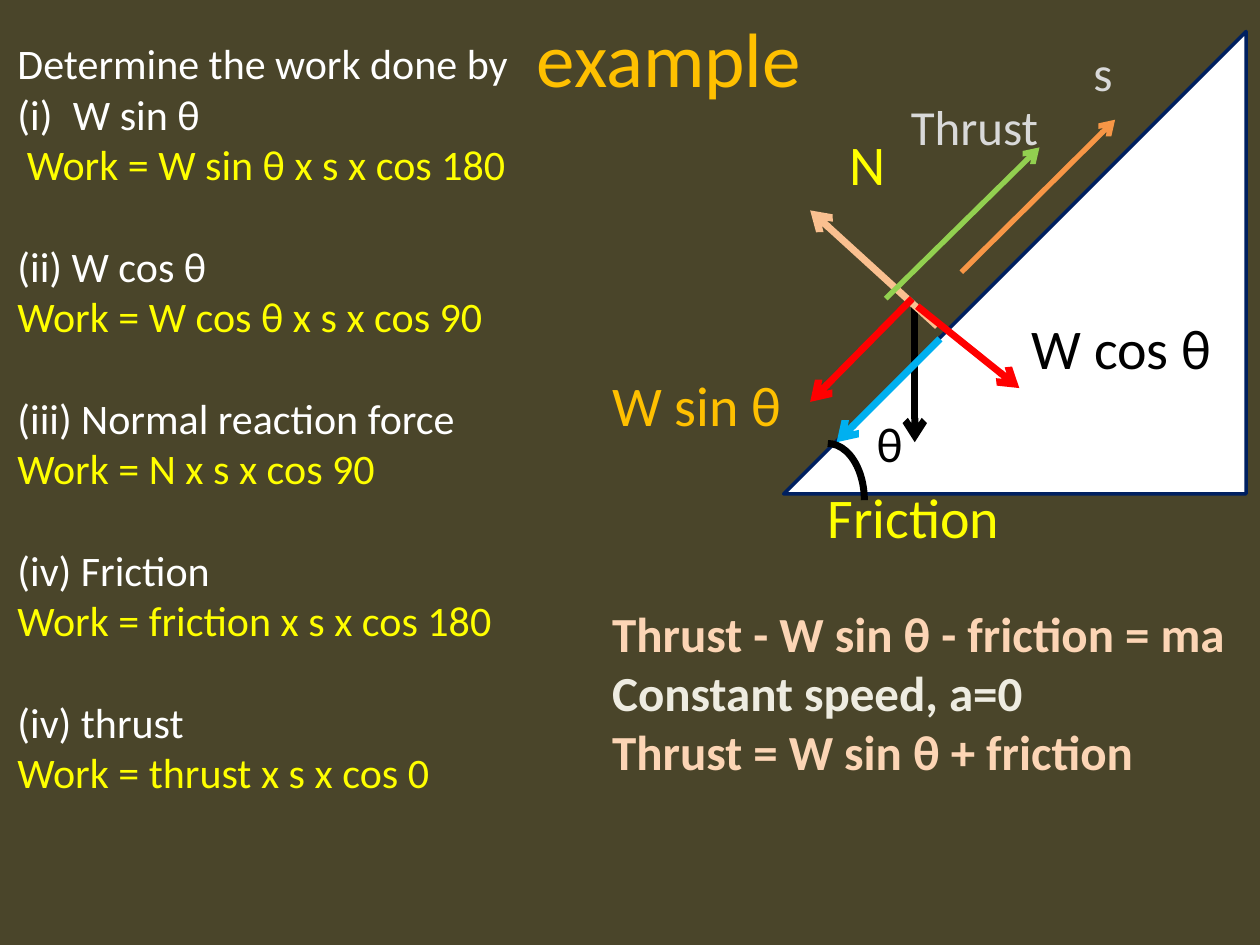
"""Build a slide on the work done by each force on an inclined plane."""
from dataclasses import dataclass

from lxml.etree import SubElement
from pptx import Presentation
from pptx.dml.color import RGBColor
from pptx.enum.shapes import MSO_CONNECTOR as Connector, MSO_SHAPE as Preset
from pptx.enum.text import MSO_ANCHOR as Anchor, MSO_AUTO_SIZE as AutoSize, PP_ALIGN as Align
from pptx.oxml.ns import qn
from pptx.util import Inches, Length, Pt

COLUMNS, ROWS = 100, 75
WIDTH, HEIGHT = Inches(10), Inches(7.5)
FONT = "Calibri"
BLANK_LINE = 29.3
COLORS = {
    "background": "4A452A", "white": "FFFFFF", "black": "000000", "navy": "002060",
    "gold": "FFC000", "yellow": "FFFF00", "gray": "D9D9D9", "cream": "EEECE1",
    "peach": "FCD5B5", "tan": "FAC090", "red": "FF0000", "blue": "00B0F0",
    "orange": "F79646", "green": "92D050",
}


@dataclass(frozen=True)
class Box:
    column: float
    row: float
    columns: float
    rows: float

    def lengths(self) -> tuple[Length, ...]:
        return x(self.column), y(self.row), x(self.columns), y(self.rows)


@dataclass(frozen=True)
class Line:
    text: str
    color: str
    space_before: float = 0
    numbered: bool = False


@dataclass(frozen=True)
class TextBlock:
    box: Box
    size: int
    lines: tuple[Line, ...]
    bold: bool = False


@dataclass(frozen=True)
class Arrow:
    start: tuple[float, float]
    end: tuple[float, float]
    color: str
    width: float = 4


def question(text: str, answer: str) -> tuple[Line, Line]:
    return Line(text, "white", BLANK_LINE), Line(answer, "yellow")


def label(column: float, row: float, columns: float, text: str, color: str,
          size: int = 32) -> TextBlock:
    rows = 6.4 if size == 32 else 5.7
    return TextBlock(Box(column, row, columns, rows), size, (Line(text, color),))


TITLE = TextBlock(Box(8.1, -1.1, 90, 11.2), 44, (Line("example", "gold"),))
INCLINE = Box(62.2, 2.5, 36.7, 36.7)
ANGLE = Box(62.8, 35.2, 5.8, 9)
ARROWS = (
    Arrow((72.6, 24.3), (72.6, 35.1), "black"),
    Arrow((74.4, 25.9), (64.3, 16.7), "tan"),
    Arrow((72.8, 24.3), (80.9, 30.8), "red"),
    Arrow((72.4, 23.7), (64.3, 31.9), "red"),
    Arrow((74.6, 26.9), (66.4, 35.1), "blue"),
    Arrow((76.3, 21.6), (88.5, 9.5), "orange", 3),
    Arrow((70.3, 23.7), (82.5, 11.7), "green", 3),
)
TEXT_BLOCKS = (
    label(66.4, 9.8, 4.9, "N", "yellow"),
    label(80.9, 24.4, 17.4, "W cos θ", "black"),
    label(47.6, 28.9, 16.6, "W sin θ", "gold"),
    label(64.7, 37.8, 15.9, "Friction", "yellow"),
    label(85.8, 2.9, 3.6, "s", "gray", 28),
    TextBlock(Box(0.4, 2.5, 42.1, 61.6), 24, (
        Line("Determine the work done by", "white"),
        Line("W sin θ", "white", numbered=True),
        Line(" Work = W sin θ x s x cos 180", "yellow"),
        *question("(ii) W cos θ", "Work = W cos θ x s x cos 90"),
        *question("(iii) Normal reaction force", "Work = N x s x cos 90"),
        *question("(iv) Friction", "Work = friction x s x cos 180"),
        *question("(iv) thrust", "Work = thrust x s x cos 0"),
    )),
    label(71.3, 7.2, 12.2, "Thrust", "gray", 28),
    TextBlock(Box(47.6, 47.4, 51.2, 15.1), 28, (
        Line("Thrust - W sin θ - friction = ma", "peach"),
        Line("Constant speed, a=0", "cream"),
        Line("Thrust = W sin θ + friction", "peach"),
    ), bold=True),
    label(68.6, 32.3, 4.1, "θ", "black", 28),
)


def x(columns: float) -> Length:
    return Length(round(WIDTH * columns / COLUMNS))


def y(rows: float) -> Length:
    return Length(round(HEIGHT * rows / ROWS))


def rgb(name: str) -> RGBColor:
    return RGBColor.from_string(COLORS[name])


def add_text(slide, block: TextBlock):
    frame = slide.shapes.add_textbox(*block.box.lengths()).text_frame
    frame.word_wrap = False
    frame.auto_size = AutoSize.SHAPE_TO_FIT_TEXT
    for index, line in enumerate(block.lines):
        paragraph = frame.add_paragraph() if index else frame.paragraphs[0]
        paragraph.text = line.text
        if line.space_before:
            paragraph.space_before = Pt(line.space_before)
        if line.numbered:
            properties = paragraph._p.get_or_add_pPr()
            properties.set("marL", str(x(4.4)))
            properties.set("indent", str(-x(4.4)))
            SubElement(properties, qn("a:buFont"), typeface="+mj-lt")
            SubElement(properties, qn("a:buAutoNum"), type="romanLcParenBoth")
        font = paragraph.font
        font.name, font.size, font.bold = FONT, Pt(block.size), block.bold
        font.color.rgb = rgb(line.color)
    return frame


def add_title(slide, block: TextBlock) -> None:
    frame = add_text(slide, block)
    frame.word_wrap = True
    frame.auto_size = AutoSize.NONE
    frame.vertical_anchor = Anchor.MIDDLE
    frame.paragraphs[0].alignment = Align.CENTER


def add_preset(slide, preset: Preset, box: Box, line: str, width: float):
    shape = slide.shapes.add_shape(preset, *box.lengths())
    shape.shadow.inherit = False
    shape.fill.background()
    shape.line.color.rgb = rgb(line)
    shape.line.width = Pt(width)
    return shape


def add_incline(slide, box: Box) -> None:
    shape = add_preset(slide, Preset.RIGHT_TRIANGLE, box, "navy", 2)
    shape.fill.solid()
    shape.fill.fore_color.rgb = rgb("white")
    shape._element.spPr.get_or_add_xfrm().set("flipH", "1")


def add_arrow(slide, arrow: Arrow) -> None:
    (left, top), (right, bottom) = arrow.start, arrow.end
    connector = slide.shapes.add_connector(
        Connector.STRAIGHT, x(left), y(top), x(right), y(bottom))
    connector.line.color.rgb = rgb(arrow.color)
    connector.line.width = Pt(arrow.width)
    SubElement(connector.line._get_or_add_ln(), qn("a:tailEnd"), type="arrow")
    SubElement(connector._element.spPr, qn("a:effectLst"))


def main() -> None:
    presentation = Presentation()
    presentation.slide_width, presentation.slide_height = WIDTH, HEIGHT
    slide = presentation.slides.add_slide(presentation.slide_layouts[6])
    slide.background.fill.solid()
    slide.background.fill.fore_color.rgb = rgb("background")
    add_title(slide, TITLE)
    add_incline(slide, INCLINE)
    for arrow in ARROWS:
        add_arrow(slide, arrow)
    for block in TEXT_BLOCKS:
        add_text(slide, block)
    add_preset(slide, Preset.ARC, ANGLE, "black", 4)
    presentation.save("out.pptx")


if __name__ == "__main__":
    main()
